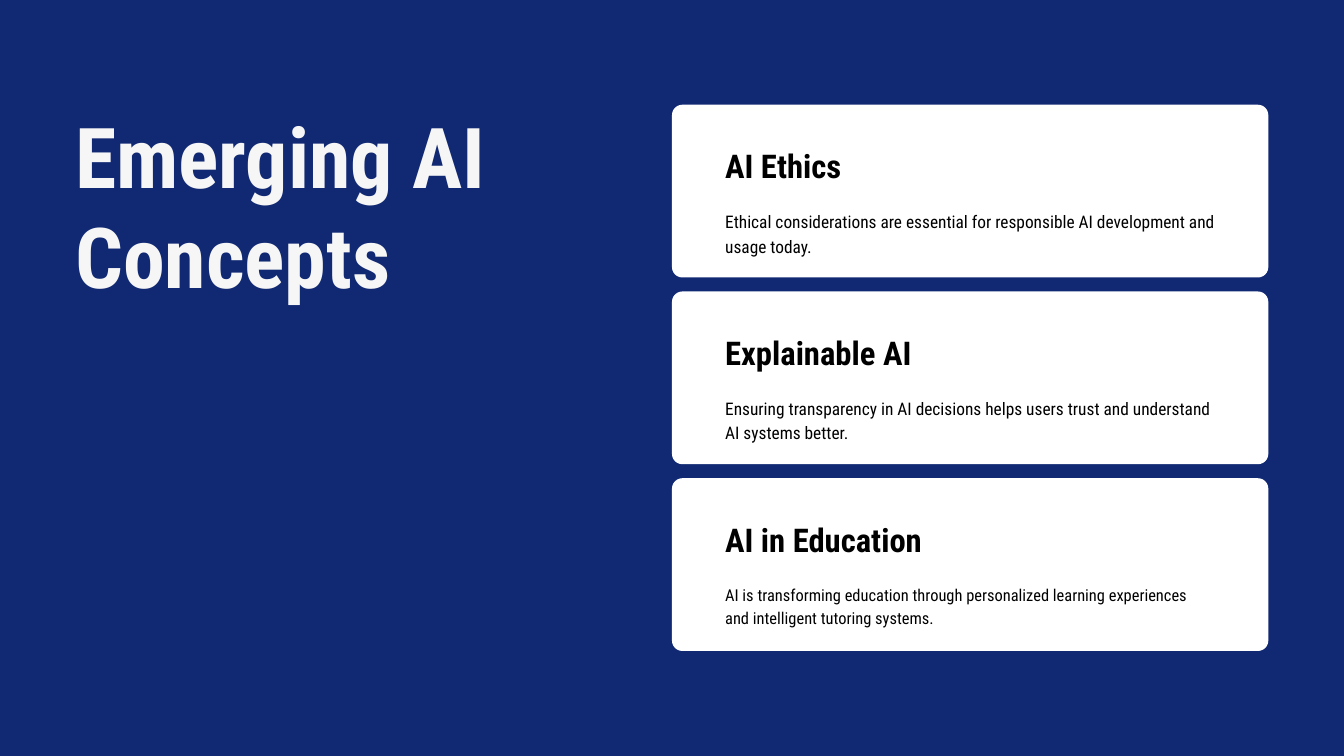
from pptx import Presentation
from pptx.dml.color import RGBColor
from pptx.enum.shapes import MSO_SHAPE
from pptx.enum.text import MSO_ANCHOR, MSO_AUTO_SIZE, PP_ALIGN
from pptx.util import Cm, Pt

FONT = "Roboto Condensed"
NAVY, WHITE, OFF_WHITE, BLACK = "112973", "FFFFFF", "F6F6F6", "000000"

# Heading, body, body size, body line spacing
CARDS = [
    ("AI Ethics",
     "Ethical considerations are essential for responsible AI development and usage today.",
     18.6, 26),
    ("Explainable AI",
     "Ensuring transparency in AI decisions helps users trust and understand AI systems better.",
     18.6, 26),
    ("AI in Education",
     "AI is transforming education through personalized learning experiences "
     "and intelligent tutoring systems.",
     17.6, 24.6),
]


def set_fill(fill, color):
    fill.solid()
    fill.fore_color.rgb = RGBColor.from_string(color)


def write_text(shape, text, size, spacing, color, bold=False):
    frame = shape.text_frame
    frame.word_wrap = True
    frame.auto_size = MSO_AUTO_SIZE.NONE
    frame.vertical_anchor = MSO_ANCHOR.TOP
    frame.margin_left = frame.margin_right = frame.margin_top = frame.margin_bottom = 0
    frame.text = text
    paragraph = frame.paragraphs[0]
    paragraph.alignment = PP_ALIGN.LEFT
    paragraph.line_spacing = Pt(spacing)
    paragraph.space_before = Pt(0)
    paragraph.font.name = FONT
    paragraph.font.size = Pt(size)
    paragraph.font.bold = bold
    paragraph.font.color.rgb = RGBColor.from_string(color)


def add_title(slide, left, top, width, height):
    title = slide.shapes.title
    title.left, title.top, title.width, title.height = left, top, width, height
    write_text(title, "Emerging AI Concepts", 90, 108, OFF_WHITE, bold=True)


def add_card(slide, left, top, width, height, card):
    heading, body, body_size, body_spacing = card

    # Rounded panel
    panel = slide.shapes.add_shape(MSO_SHAPE.ROUNDED_RECTANGLE, left, top, width, height)
    panel.adjustments[0] = 0.06
    panel.shadow.inherit = False
    set_fill(panel.fill, WHITE)
    panel.line.fill.background()

    # Heading and body
    text_left, text_width = left + Cm(2.01), width - 2 * Cm(2.01)
    heading_box = slide.shapes.add_textbox(text_left, top + Cm(1.57), text_width, Cm(1.45))
    write_text(heading_box, heading, 35, 42, BLACK, bold=True)
    body_box = slide.shapes.add_textbox(text_left, top + Cm(3.91), text_width, Cm(1.75))
    write_text(body_box, body, body_size, body_spacing, BLACK)


def add_cards(slide, left, top, width, height, gap):
    card_height = (height - gap * (len(CARDS) - 1)) // len(CARDS)
    for index, card in enumerate(CARDS):
        add_card(slide, left, top + index * (card_height + gap), width, card_height, card)


def main():
    presentation = Presentation()
    presentation.slide_width = Cm(50.8)
    presentation.slide_height = Cm(28.58)
    slide = presentation.slides.add_slide(presentation.slide_layouts[5])
    set_fill(slide.background.fill, NAVY)
    add_title(slide, Cm(2.84), Cm(3.94), Cm(18.72), Cm(7.65))
    add_cards(slide, Cm(25.4), Cm(3.96), Cm(22.54), Cm(20.65), Cm(0.53))
    presentation.save("out.pptx")


if __name__ == "__main__":
    main()
